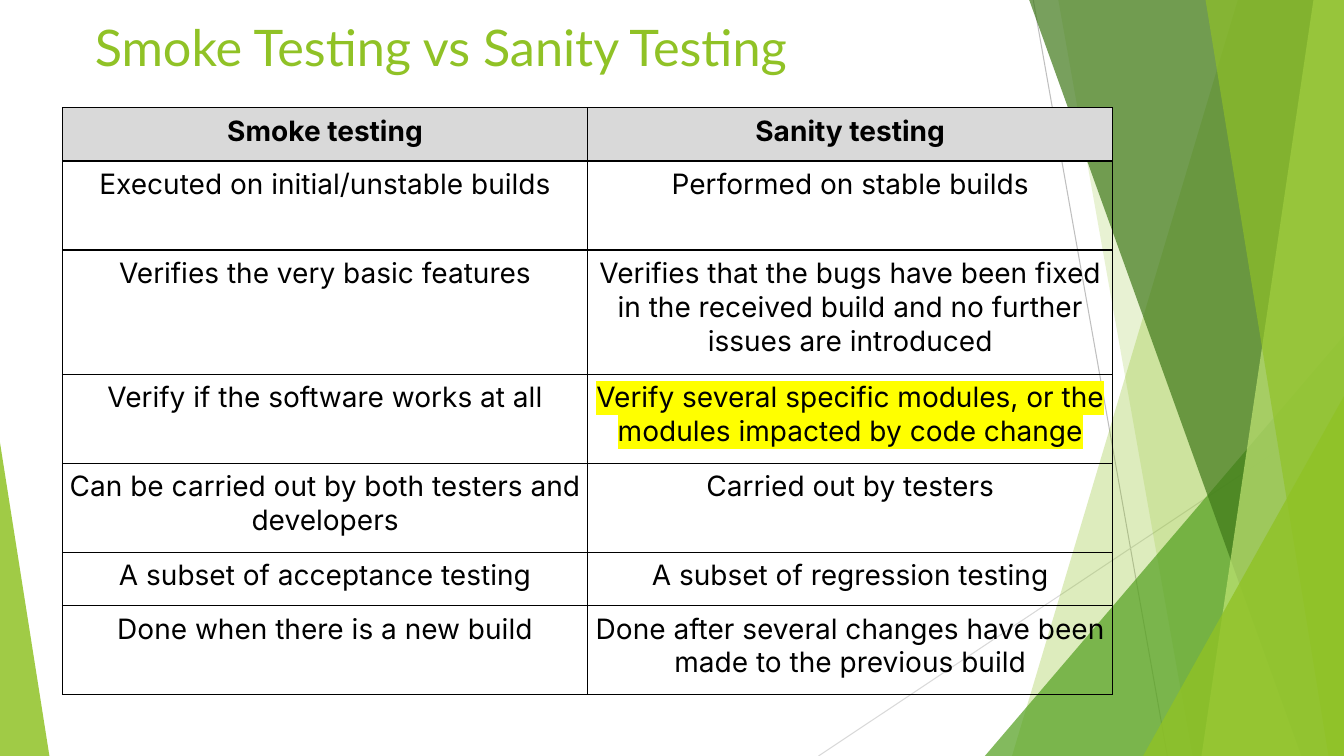
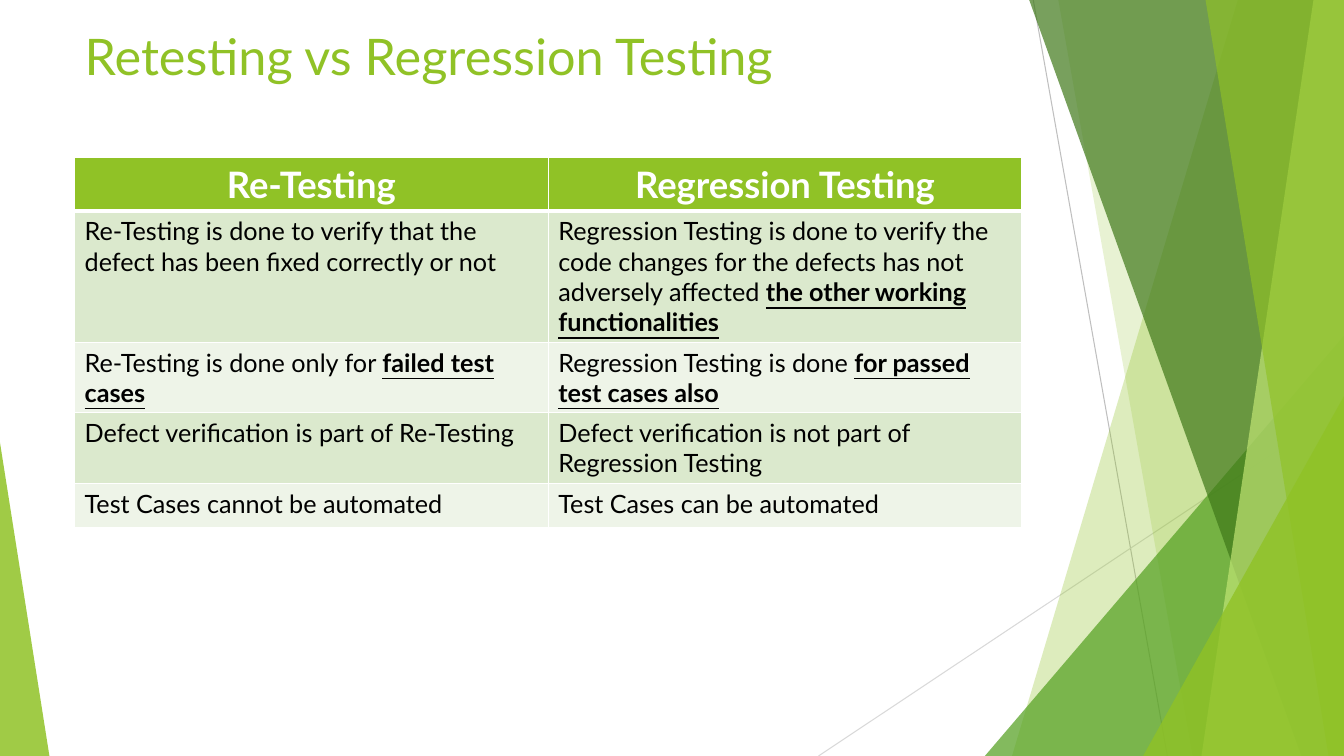
from lxml.etree import SubElement
from pptx import Presentation
from pptx.dml.color import RGBColor
from pptx.enum.shapes import MSO_CONNECTOR, MSO_SHAPE
from pptx.enum.text import MSO_ANCHOR, MSO_AUTO_SIZE, PP_ALIGN
from pptx.oxml.ns import qn
from pptx.util import Inches, Pt

GREEN, BLACK, WHITE = "90C226", "000000", "FFFFFF"
NO_STYLE = "{2D5ABB26-0587-4C30-8999-92F81FD0307C}"


def rgb(value):
    return RGBColor.from_string(value)


def highlight(r):
    mark = SubElement(r.font.fill._xPr, qn("a:highlight"))
    SubElement(mark, qn("a:srgbClr"), val="FFFF00")
    r.font.fill._xPr.find(qn("a:solidFill")).addnext(mark)


def underline(r):
    r.font.bold = r.font.underline = True


class Deck:
    title_font, title_size = "Lato", 36
    title_width, title_height = 70.5, 10.53

    def __init__(self):
        self.prs = Presentation()
        self.prs.slide_width, self.prs.slide_height = Inches(13.333), Inches(7.5)
        self.layout = self.prs.slide_layouts[5]
        for ph in list(self.layout.placeholders):
            if ph.placeholder_format.idx:
                ph.element.getparent().remove(ph.element)
        self.s = None

    def x(self, percent):
        return round(self.prs.slide_width * percent / 100)

    def y(self, percent):
        return round(self.prs.slide_height * percent / 100)

    def slide(self, title, left, top):
        self.s = self.prs.slides.add_slide(self.layout)
        sp = self.s.shapes.title
        sp.left, sp.top = self.x(left), self.y(top)
        sp.width, sp.height = self.x(self.title_width), self.y(self.title_height)
        tf = sp.text_frame
        tf.text = title
        tf.word_wrap = True
        tf.auto_size = MSO_AUTO_SIZE.NONE
        tf.vertical_anchor = MSO_ANCHOR.TOP
        p = tf.paragraphs[0]
        p.alignment = PP_ALIGN.LEFT
        self.font(p.runs[0], self.title_font, self.title_size, GREEN)

    def font(self, r, name, size, color, bold=False):
        r.font.name, r.font.size, r.font.bold = name, Pt(size), bold
        r.font.color.rgb = rgb(color)

    def share(self, sp):
        self.layout.shapes.element.append(sp.element)

    def line(self, x1, y1, x2, y2, color):
        sp = self.s.shapes.add_connector(
            MSO_CONNECTOR.STRAIGHT, self.x(x1), self.y(y1), self.x(x2), self.y(y2))
        sp.line.color.rgb, sp.line.width = rgb(color), Pt(0.75)
        SubElement(sp.element.spPr, qn("a:effectLst"))
        self.share(sp)

    def paint(self, sp, color, opacity):
        sp.shadow.inherit = False
        sp.fill.solid()
        sp.fill.fore_color.rgb = rgb(color)
        sp.line.fill.background()
        clr = sp.element.spPr.find(".//" + qn("a:srgbClr"))
        SubElement(clr, qn("a:alpha"), val=str(opacity * 1000))
        self.share(sp)

    def wedge(self, top_x, bottom_x, color, opacity):
        builder = self.s.shapes.build_freeform(self.x(top_x), 0)
        right, bottom = self.x(100), self.y(100)
        builder.add_line_segments([(right, 0), (right, bottom), (self.x(bottom_x), bottom)])
        self.paint(builder.convert_to_shape(), color, opacity)

    def triangle(self, left, top, right, apex, color, opacity):
        sp = self.s.shapes.add_shape(
            MSO_SHAPE.ISOSCELES_TRIANGLE, self.x(left), self.y(top),
            self.x(right - left), self.y(100 - top))
        sp.adjustments[0] = apex
        self.paint(sp, color, opacity)

    def backdrop(self):
        self.line(76.88, 0, 86.86, 100, "BFBFBF")
        self.line(100, 53.73, 60.9, 100, "D9D9D9")
        self.wedge(92.1, 75.3, GREEN, 30)
        self.wedge(78.75, 88.73, GREEN, 20)
        self.triangle(73.28, 44.4, 100, 1, "54A021", 72)
        self.wedge(76.58, 96.83, "3F7819", 70)
        self.wedge(97.73, 89.4, "C0E474", 70)
        self.wedge(89.7, 98.85, GREEN, 65)
        self.triangle(85.05, 52.4, 100, 1, GREEN, 80)
        self.triangle(0, 58.53, 3.68, 0, GREEN, 85)

    def borders(self, cell, color, top, bottom):
        tc_pr = cell._tc.get_or_add_tcPr()
        sides = (("L", 1), ("R", 1), ("T", top), ("B", bottom))
        for i, (side, width) in enumerate(sides):
            ln = SubElement(tc_pr, qn("a:ln" + side), w=str(Pt(width)))
            fill = SubElement(ln, qn("a:solidFill"))
            SubElement(fill, qn("a:srgbClr"), val=color)
            tc_pr.insert(i, ln)

    def cell(self, cell, text, font, size, color, bold, align, fill, emphasis):
        if fill:
            cell.fill.solid()
            cell.fill.fore_color.rgb = rgb(fill)
        else:
            cell.fill.background()
        p = cell.text_frame.paragraphs[0]
        p.alignment = align
        for i, part in enumerate(text.split("*")):
            if part:
                r = p.add_run()
                r.text = part
                self.font(r, font, size, color, bold)
                if i % 2:
                    emphasis(r)

    def table(self, rows, left, top, width, heights, font, sizes, head_color,
              fills, align, border, head_rule, emphasis, margin=None):
        sp = self.s.shapes.add_table(
            len(rows), 2, self.x(left), self.y(top), self.x(width), self.y(sum(heights)))
        next(sp.element.iter(qn("a:tableStyleId"))).text = NO_STYLE
        tbl = sp.table
        tbl.horz_banding = False
        for i, (texts, height) in enumerate(zip(rows, heights)):
            tbl.rows[i].height = self.y(height)
            head = i == 0
            fill = fills[0] if head else fills[2 - i % 2]
            for j, text in enumerate(texts):
                cell = tbl.cell(i, j)
                self.cell(cell, text, font, sizes[0 if head else 1],
                          head_color if head else BLACK, head,
                          PP_ALIGN.CENTER if head else align, fill, emphasis)
                self.borders(cell, border, head_rule if i == 1 else 1,
                             head_rule if head else 1)
                if margin:
                    cell.margin_left = cell.margin_right = self.x(margin)
                    cell.margin_top = cell.margin_bottom = self.x(margin)


SMOKE_SANITY = [
    ("Smoke testing", "Sanity testing"),
    ("Executed on initial/unstable builds", "Performed on stable builds"),
    ("Verifies the very basic features",
     "Verifies that the bugs have been fixed in the received build and no further "
     "issues are introduced"),
    ("Verify if the software works at all",
     "*Verify several specific modules, or the modules impacted by code change*"),
    ("Can be carried out by both testers and developers", "Carried out by testers"),
    ("A subset of acceptance testing", "A subset of regression testing"),
    ("Done when there is a new build",
     "Done after several changes have been made to the previous build"),
]

RETEST_REGRESSION = [
    ("Re-Testing", "Regression Testing"),
    ("Re-Testing is done to verify that the defect has been fixed correctly or not",
     "Regression Testing is done to verify the code changes for the defects has not "
     "adversely affected *the other working functionalities*"),
    ("Re-Testing is done only for *failed test cases*",
     "Regression Testing is done *for passed test cases also*"),
    ("Defect verification is part of Re-Testing",
     "Defect verification is not part of Regression Testing"),
    ("Test Cases cannot be automated", "Test Cases can be automated"),
]


def main():
    deck = Deck()
    deck.slide("Smoke Testing vs Sanity Testing", 6.3, 1.47)
    deck.backdrop()
    one, two, three = 7.03, 11.77, 16.5
    deck.table(SMOKE_SANITY, 4.65, 14.27, 78.15, [one, two, three, two, two, one, two],
               "Inter", (20, 20), BLACK, ("D9D9D9", None, None), PP_ALIGN.CENTER,
               BLACK, 1, highlight, margin=0.45)

    deck.slide("Retesting vs Regression Testing", 5.55, 2.67)
    deck.table(RETEST_REGRESSION, 5.55, 20.8, 70.5, [5.87] * 5,
               "Lato", (26, 18), WHITE, (GREEN, "DBE9CD", "EEF4E8"), PP_ALIGN.LEFT,
               WHITE, 3, underline)
    deck.prs.save("out.pptx")


if __name__ == "__main__":
    main()
